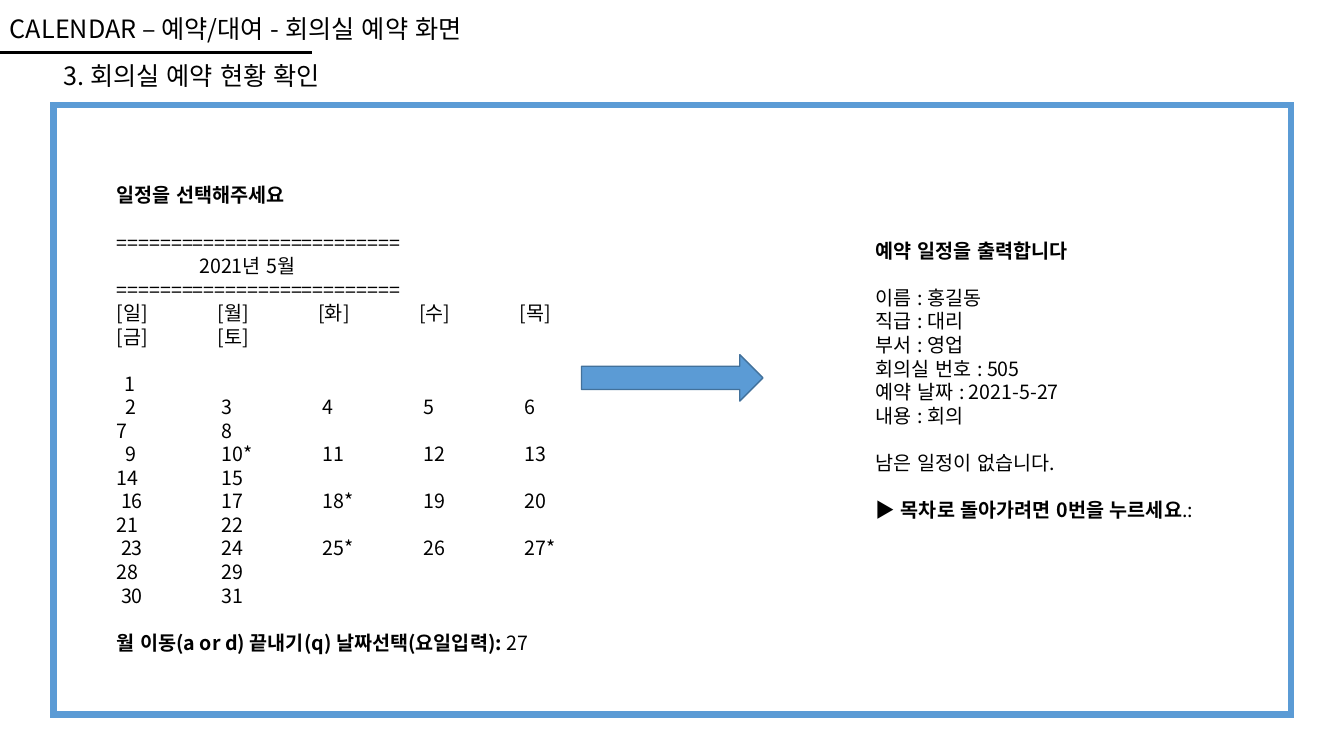
from pptx import Presentation
from pptx.dml.color import RGBColor
from pptx.enum.shapes import MSO_CONNECTOR, MSO_SHAPE
from pptx.enum.text import MSO_AUTO_SIZE
from pptx.util import Pt
from lxml.etree import SubElement
from pptx.oxml.ns import qn

FONT = "Noto Sans CJK KR"
BLACK = RGBColor(0x00, 0x00, 0x00)
BLUE = RGBColor(0x5B, 0x9B, 0xD5)
DARK_BLUE = RGBColor(0x42, 0x71, 0x9B)
LINE = 16.8    # line pitch of the 14 pt text
COLUMN = 72    # width of a calendar column


def add_line(p, text, size=14, bold=False, tail="", before=0, indent=0):
    """Fill a paragraph; tail is a regular-weight ending of the line."""
    p.line_spacing = Pt(size * 1.2)
    p.space_before = Pt(before)
    pPr = p._p.get_or_add_pPr()
    pPr.set("marL", "0")
    pPr.set("indent", str(Pt(indent)))
    for part, weight in ((text, bold), (tail, False)):
        if part:
            r = p.add_run()
            r.text = part
            r.font.size, r.font.bold, r.font.name = Pt(size), weight, FONT
            r.font.color.rgb = BLACK
            rPr = r._r.get_or_add_rPr()
            rPr.set("lang", "ko-KR")
            SubElement(rPr, qn("a:ea"), typeface=FONT)


def add_text(left, top, width, height, lines, margin=7.2):
    tf = s.shapes.add_textbox(Pt(left), Pt(top), Pt(width), Pt(height)).text_frame
    tf.word_wrap = True
    tf.auto_size = MSO_AUTO_SIZE.SHAPE_TO_FIT_TEXT
    tf.margin_left = tf.margin_right = Pt(7.2)
    tf.margin_top = tf.margin_bottom = Pt(margin)
    for i, (text, fmt) in enumerate(lines):
        add_line(tf.add_paragraph() if i else tf.paragraphs[0], text, **fmt)


prs = Presentation()
prs.slide_width, prs.slide_height = Pt(960), Pt(540)
s = prs.slides.add_slide(prs.slide_layouts[6])

# Default tab width is one calendar column
for root in (prs.element, prs.slide_master.element):
    for level in root.iter(qn("a:lvl1pPr")):
        level.set("defTabSz", str(Pt(COLUMN)))

# Heading with its rule
rule = s.shapes.add_connector(MSO_CONNECTOR.STRAIGHT, Pt(0), Pt(37.4), Pt(223.2), Pt(37.4))
rule.line.color.rgb = BLACK
rule.line.width = Pt(1.75)
SubElement(rule._element.spPr, qn("a:effectLst"))
add_text(0, 5.8, 462.2, 28.8, [("CALENDAR – 예약/대여 - 회의실 예약 화면", {"size": 18})], margin=3.6)

# Screen frame and section title
frame = s.shapes.add_shape(MSO_SHAPE.RECTANGLE, Pt(38.2), Pt(74.9), Pt(884.2), Pt(435.6))
frame.shadow.inherit = False
frame.fill.background()
frame.line.color.rgb = BLUE
frame.line.width = Pt(4.5)
SubElement(frame.line._get_or_add_ln(), qn("a:miter"), lim="800000")
add_text(38.2, 39.6, 298.8, 28.8, [("3. 회의실 예약 현황 확인", {"size": 18})], margin=3.6)

# Calendar: each week wraps after its fifth day
double_rule = "=" * 26
booked = {10, 18, 25, 27}
calendar = [
    ("일정을 선택해주세요", {"bold": True}),
    (double_rule, {"before": LINE}),
    ("2021년 5월", {"indent": 59}),
    (double_rule, {}),
    ("\t".join(f"[{day}]" for day in "일월화수목금토"), {}),
    ("1", {"before": LINE, "indent": 5.8}),
]
for sunday in range(2, 32, 7):
    days = range(sunday, min(sunday + 7, 32))
    week = "\t".join(f" {d}*" if d in booked else f" {d}" for d in days)
    calendar.append((week, {"indent": 3 if sunday < 10 else 0}))
calendar.append(("월 이동(a or d) 끝내기(q) 날짜선택(요일입력):",
                 {"bold": True, "tail": " 27", "before": LINE}))
add_text(76.3, 123.8, 338.4, 269.3, calendar)

# Arrow to the result
arrow = s.shapes.add_shape(MSO_SHAPE.RIGHT_ARROW, Pt(415.4), Pt(253.4), Pt(129.6), Pt(33.1))
arrow.shadow.inherit = False
arrow.fill.solid()
arrow.fill.fore_color.rgb = BLUE
arrow.line.color.rgb = DARK_BLUE
arrow.line.width = Pt(1)

# Reservation details
add_text(618.5, 163.4, 265, 235.4, [
    ("예약 일정을 출력합니다", {"bold": True}),
    ("이름 : 홍길동", {"before": LINE}),
    ("직급 : 대리", {}),
    ("부서 : 영업", {}),
    ("회의실 번호 : 505", {}),
    ("예약 날짜 : 2021-5-27", {}),
    ("내용 : 회의", {}),
    ("남은 일정이 없습니다.", {"before": LINE}),
    ("▶ 목차로 돌아가려면 0번을 누르세요", {"bold": True, "tail": ".:", "before": LINE}),
])

prs.save("out.pptx")
